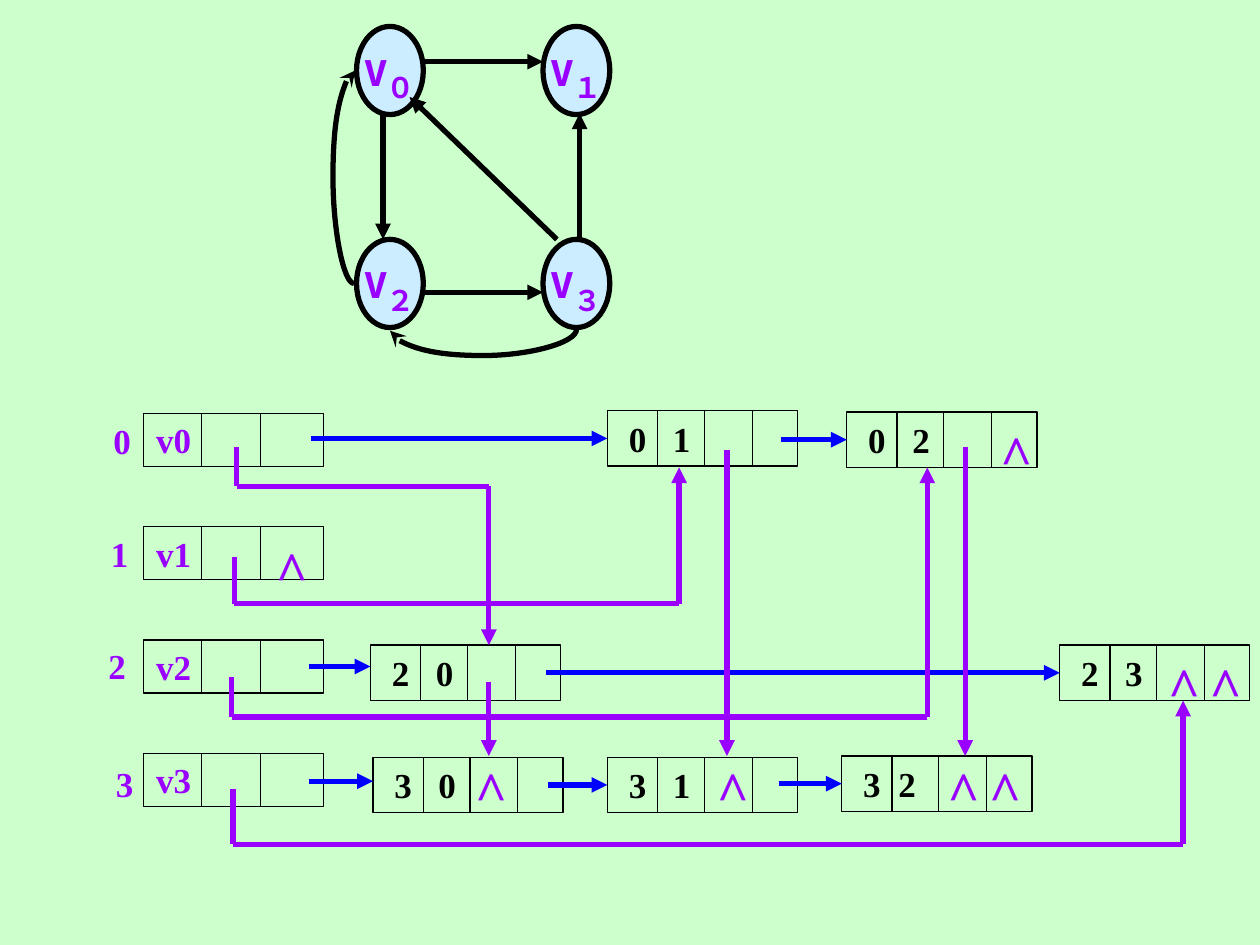
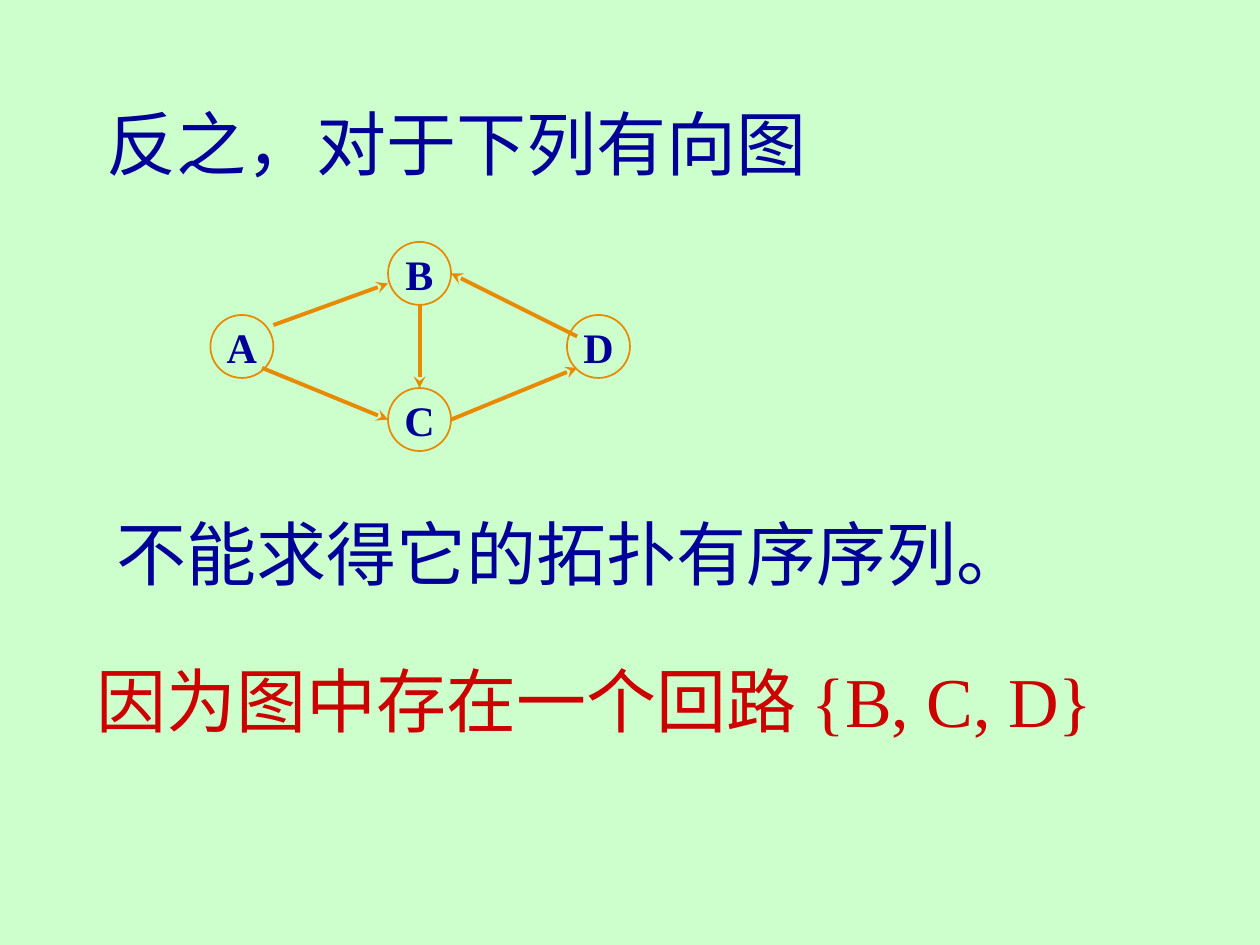
from dataclasses import dataclass
from typing import NamedTuple

from lxml import etree
from pptx import Presentation
from pptx.dml.color import RGBColor
from pptx.enum.shapes import MSO_CONNECTOR, MSO_SHAPE
from pptx.enum.text import MSO_ANCHOR, PP_ALIGN
from pptx.oxml.ns import qn
from pptx.util import Emu, Pt

PX = 9144  # 100 px to the inch
STRAIGHT, CURVE = MSO_CONNECTOR.STRAIGHT, MSO_CONNECTOR.CURVE
RECT, OVAL = MSO_SHAPE.RECTANGLE, MSO_SHAPE.OVAL
TOP, MIDDLE = MSO_ANCHOR.TOP, MSO_ANCHOR.MIDDLE
LEFT, CENTER = PP_ALIGN.LEFT, PP_ALIGN.CENTER
LEFT_SIDE = 1


class Type(NamedTuple):
    size: int
    color: str
    face: str = "Times New Roman"
    bold: bool = True


class Pen(NamedTuple):
    color: str
    width: float
    head: str = ""


@dataclass(frozen=True)
class Theme:
    back: str = "CCFFCC"
    node: str = "CCECFF"
    head: Type = Type(20, "9900FF")
    cell: Type = Type(20, "000000")
    null: Type = Type(32, "9900FF")
    vertex: Type = Type(28, "9900FF", "Arial Narrow")
    letter: Type = Type(24, "000099")
    body: Type = Type(40, "000099", bold=False)
    alert: Type = Type(40, "CC0000", bold=False)
    thin: Pen = Pen("000000", 0.75)
    rim: Pen = Pen("000000", 3)
    edge: Pen = Pen("000000", 3, "triangle")
    bend: Pen = Pen("000000", 3, "stealth")
    row: Pen = Pen("0000FF", 3, "triangle")
    column: Pen = Pen("9900FF", 3, "triangle")
    ring: Pen = Pen("E88A00", 1)
    arc: Pen = Pen("E88A00", 2.25, "stealth")


THEME = Theme()


class Box(NamedTuple):
    x: int
    y: int
    w: int
    h: int


class Head(NamedTuple):
    """One row of the vertex list, and where its index stands."""
    name: str
    index_x: int
    index_y: int


class Arc(NamedTuple):
    """One arc record; gap is the step from its tail field to its head field."""
    tail: int
    head: int
    x: int
    y: int
    gap: int = 35


class Node(NamedTuple):
    name: str
    x: int
    y: int


class Note(NamedTuple):
    text: str
    box: Box
    style: Type
    wrap: bool = False


HEADS = [Head("v0", 80, 328), Head("v1", 78, 418),
         Head("v2", 76, 507), Head("v3", 82, 600)]
ARCS = [Arc(0, 2, 672, 327), Arc(0, 1, 482, 326), Arc(2, 3, 841, 512),
        Arc(2, 0, 294, 512), Arc(3, 2, 668, 600, 28), Arc(3, 1, 482, 601),
        Arc(3, 0, 296, 601)]
# start x and the arc record (tail, head) that the row link ends at
ROW_LINKS = [(247, (0, 1)), (620, (0, 2)), (433, (2, 3)),
             (435, (3, 1)), (618, (3, 2))]
LOW_LINKS = [[(245, 529), (294, 529)], [(245, 620), (296, 620)]]
COLUMN_LINKS = [
    [(188, 355), (188, 386), (388, 386), (388, 512)],
    [(186, 442), (186, 479), (539, 479), (539, 371)],
    [(184, 537), (184, 569), (736, 569), (736, 371)],
    [(185, 626), (185, 670), (939, 670), (939, 556)],
    [(388, 541), (388, 600)], [(577, 357), (577, 600)],
    [(766, 355), (766, 600)],
]
NULLS = [(784, 328), (209, 420), (950, 512), (917, 512),
         (775, 595), (742, 595), (559, 595), (367, 595)]
VERTICES = [Node(digit, 283 + 148 * (i % 2), 21 + 169 * (i // 2))
            for i, digit in enumerate("０１２３")]
EDGES = [[(336, 49), (431, 49)], [(304, 91), (304, 190)],
         [(336, 232), (431, 232)], [(442, 190), (325, 77)],
         [(460, 191), (460, 90)]]

RINGS = [Node("B", 308, 192), Node("D", 450, 250),
         Node("A", 167, 250), Node("C", 308, 308)]
RING_ARCS = [[(217, 258), (308, 225)], [(208, 292), (308, 333)],
             [(358, 333), (458, 292)], [(458, 267), (358, 217)],
             [(333, 242), (333, 308)]]
NOTES = [
    Note("反之，对于下列有向图", Box(75, 75, 576, 77), THEME.body),
    Note("不能求得它的拓扑有序序列。", Box(83, 400, 742, 77), THEME.body),
    Note("因为图中存在一个回路 {B, C, D}", Box(67, 517, 813, 77), THEME.alert, True),
]


def px(*sizes: int) -> list[Emu]:
    return [Emu(size * PX) for size in sizes]


def rgb(color: str) -> RGBColor:
    return RGBColor.from_string(color)


def ink(line, pen: Pen) -> None:
    line.color.rgb = rgb(pen.color)
    line.width = Pt(pen.width)


def write(shape, text: str, style: Type, align=LEFT, anchor=MIDDLE,
          wrap: bool = False, low: str = "", tab: int = 0) -> None:
    """Put one paragraph in shape; low is a subscript, tab a tab stop."""
    frame = shape.text_frame
    frame.word_wrap = wrap
    frame.vertical_anchor = anchor
    para = frame.paragraphs[0]
    para.alignment = align
    if tab:
        stops = etree.SubElement(para._p.get_or_add_pPr(), qn("a:tabLst"))
        etree.SubElement(stops, qn("a:tab"), pos=str(tab * PX), algn="l")
    font = para.font
    font.size, font.bold, font.name = Pt(style.size), style.bold, style.face
    font.color.rgb = rgb(style.color)
    para.add_run().text = text
    if low:
        run = para.add_run()
        run.text = low
        run._r.get_or_add_rPr().set("baseline", "-25000")


def draw(slide, kind, box: Box, pen: Pen, fill: str = ""):
    shape = slide.shapes.add_shape(kind, *px(*box))
    shape.shadow.inherit = False
    if fill:
        shape.fill.solid()
        shape.fill.fore_color.rgb = rgb(fill)
    else:
        shape.fill.background()
    ink(shape.line, pen)
    return shape


def label(slide, text: str, box: Box, style: Type, **layout) -> None:
    write(slide.shapes.add_textbox(*px(*box)), text, style, **layout)


def link(slide, start, end, pen: Pen, kind=STRAIGHT):
    line = slide.shapes.add_connector(kind, *px(*start, *end))
    ink(line.line, pen)
    if pen.head:
        etree.SubElement(line.line._get_or_add_ln(), qn("a:tailEnd"), type=pen.head)
    etree.SubElement(line._element.spPr, qn("a:effectLst"))
    return line


def trace(slide, points, pen: Pen) -> None:
    """Join the points by lines, with a head on the last one only."""
    plain = pen._replace(head="")
    last = len(points) - 2
    for i, (start, end) in enumerate(zip(points, points[1:])):
        link(slide, start, end, pen if i == last else plain)


def curve(slide, start, end, bulge: int, turn: int = 0) -> None:
    """Draw a curve one px wide that swings out by bulge px."""
    props = link(slide, start, end, THEME.bend, CURVE)._element.spPr
    if turn:
        props.find(qn("a:xfrm")).set("rot", str(turn * 60000))
    shape = props.find(qn("a:prstGeom"))
    guides = shape.find(qn("a:avLst"))
    if guides is None:
        guides = etree.SubElement(shape, qn("a:avLst"))
    etree.SubElement(guides, qn("a:gd"), name="adj1", fmla=f"val {bulge * 100000}")


def record(slide, box: Box, splits):
    """Draw a box that upright lines split into fields."""
    shape = draw(slide, RECT, box, THEME.thin)
    for split in splits:
        x = box.x + split
        link(slide, (x, box.y), (x, box.y + box.h), THEME.thin)
    return shape


def draw_graph(slide) -> None:
    for node in VERTICES:
        oval = draw(slide, OVAL, Box(node.x, node.y, 53, 70), THEME.rim, THEME.node)
        write(oval, "v", THEME.vertex, CENTER, low=node.name)
    for points in EDGES:
        trace(slide, points, THEME.edge)
    curve(slide, (383, 188), (384, 336), 21, turn=90)
    curve(slide, (281, 225), (282, 56), -17)


def draw_list(slide) -> None:
    for i, head in enumerate(HEADS):
        shape = record(slide, Box(114, 328 + 90 * i, 143, 42), (46, 93))
        write(shape, head.name, THEME.head)
        label(slide, str(i), Box(head.index_x, head.index_y, 34, 43),
              THEME.head, align=CENTER)
    boxes = {}
    for arc in ARCS:
        shape = record(slide, Box(arc.x, arc.y, 151, 44), (40, 77, 115))
        shape.text_frame.margin_left = Emu(17 * PX)
        write(shape, f"{arc.tail}\t{arc.head}", THEME.cell, wrap=True, tab=arc.gap)
        boxes[arc.tail, arc.head] = shape, (arc.x, arc.y + 22)
    for x, key in ROW_LINKS:
        shape, end = boxes[key]
        link(slide, (x, end[1]), end, THEME.row).end_connect(shape, LEFT_SIDE)
    for points in LOW_LINKS:
        trace(slide, points, THEME.row)
    for points in COLUMN_LINKS:
        trace(slide, points, THEME.column)
    for x, y in NULLS:
        label(slide, "^", Box(x, y, 46, 63), THEME.null, anchor=TOP)


def draw_cycle(slide) -> None:
    for node in RINGS:
        oval = draw(slide, OVAL, Box(node.x, node.y, 50, 50), THEME.ring, THEME.back)
        color = oval._element.spPr.find(qn("a:solidFill"))[0]
        etree.SubElement(color, qn("a:alpha"), val="50000")
        write(oval, node.name, THEME.letter, CENTER)
    for points in RING_ARCS:
        trace(slide, points, THEME.arc)
    for note in NOTES:
        label(slide, note.text, note.box, note.style, anchor=TOP, wrap=note.wrap)


def main() -> None:
    deck = Presentation()
    deck.slide_width, deck.slide_height = px(1000, 750)
    for parts in ((draw_list, draw_graph), (draw_cycle,)):
        slide = deck.slides.add_slide(deck.slide_layouts[6])
        slide.background.fill.solid()
        slide.background.fill.fore_color.rgb = rgb(THEME.back)
        for part in parts:
            part(slide)
    deck.save("out.pptx")


if __name__ == "__main__":
    main()
